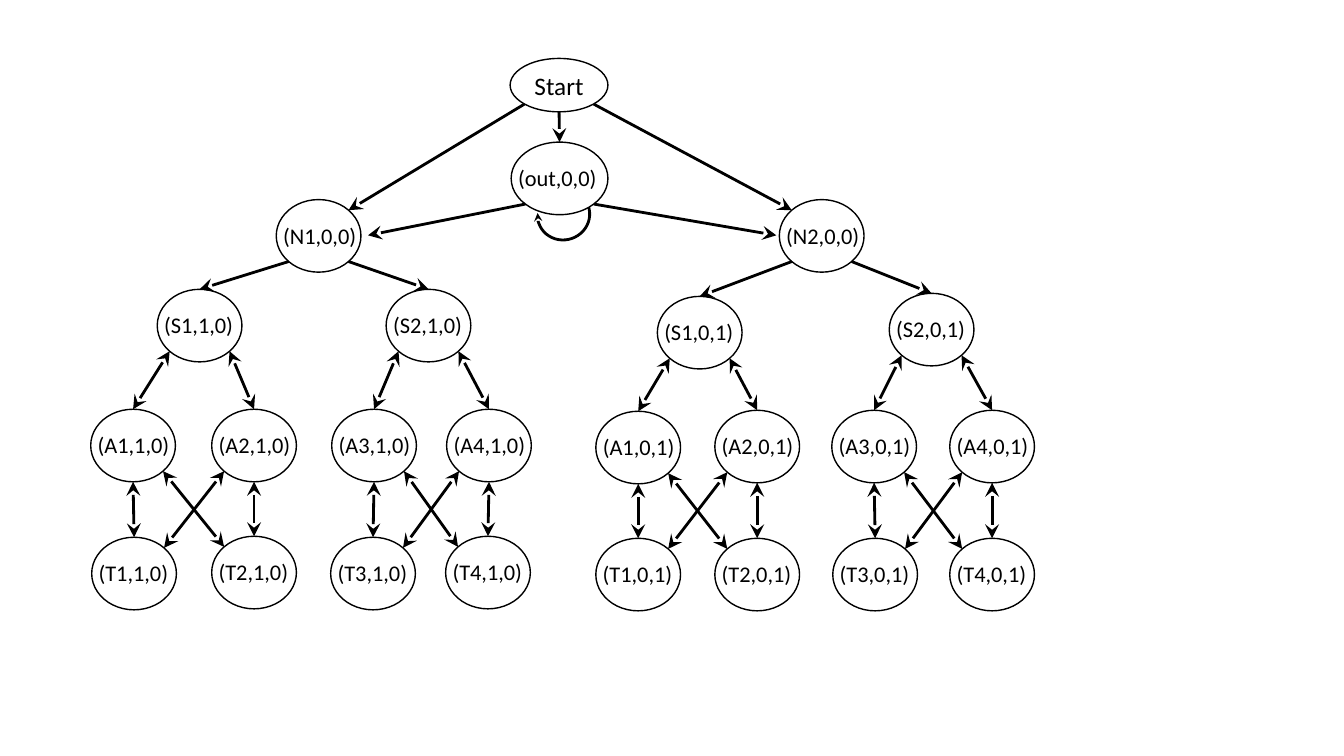
from dataclasses import dataclass
from math import sqrt

from lxml.etree import SubElement
from pptx import Presentation
from pptx.dml.color import RGBColor
from pptx.enum.shapes import MSO_CONNECTOR, MSO_SHAPE
from pptx.enum.text import MSO_ANCHOR, MSO_AUTO_SIZE, PP_ALIGN
from pptx.oxml.ns import qn
from pptx.util import Pt

PX = 9144  # EMU in one px, 100 px to the inch


@dataclass(frozen=True)
class Theme:
    ink: RGBColor = RGBColor(0, 0, 0)
    paper: RGBColor = RGBColor(255, 255, 255)
    font: str = "Calibri"
    start_size: int = 18
    label_size: int = 16
    outline: int = 1
    arrow: int = 2


THEME = Theme()

NODE_WIDTH, NODE_HEIGHT = 84, 72
LABEL_HEIGHT = 37
LABEL_WIDTHS = {"S": 90, "T": 90, "A": 92, "N": 94, "o": 99}

# Left and top of every state, by branch
BRANCHES = {
    "N1": (",1,0", {
        "N1": (274, 198), "S1": (156, 287), "S2": (383, 287),
        "A1": (90, 406), "A2": (210, 406), "A3": (329, 406), "A4": (443, 406),
        "T1": (91, 533), "T2": (210, 532), "T3": (328, 533), "T4": (442, 532),
    }),
    "N2": (",0,1", {
        "N2": (773, 198), "S1": (652, 294), "S2": (882, 291),
        "A1": (591, 408), "A2": (709, 407), "A3": (825, 407), "A4": (942, 407),
        "T1": (591, 534), "T2": (709, 534), "T3": (826, 534), "T4": (942, 534),
    }),
}

# Points on an ellipse, in half widths and half heights from its centre
DIAGONAL = 1 / sqrt(2)
SITES = {
    "top": (0, -1),
    "bottom": (0, 1),
    "top left": (-DIAGONAL, -DIAGONAL),
    "top right": (DIAGONAL, -DIAGONAL),
    "bottom left": (-DIAGONAL, DIAGONAL),
    "bottom right": (DIAGONAL, DIAGONAL),
}
RECTANGLE_LEFT, RECTANGLE_RIGHT = 1, 3


@dataclass
class Node:
    ellipse: object
    label: object = None

    def site(self, name):
        across, down = SITES[name]
        oval = self.ellipse
        return (round(oval.left + oval.width * (1 + across) / 2),
                round(oval.top + oval.height * (1 + down) / 2))


def set_font(para, size):
    para.font.name = THEME.font
    para.font.size = Pt(size)
    para.font.color.rgb = THEME.ink


def set_line(line, width):
    line.color.rgb = THEME.ink
    line.width = Pt(width)


def add_arrowheads(shape, ends, size):
    outline = shape._element.spPr.find(qn("a:ln"))
    for end in ends:
        SubElement(outline, qn(f"a:{end}"), type="stealth", w=size, len=size)


def add_ellipse(page, left, top, width, height):
    ellipse = page.shapes.add_shape(
        MSO_SHAPE.OVAL, left * PX, top * PX, width * PX, height * PX)
    ellipse.shadow.inherit = False
    ellipse.fill.solid()
    ellipse.fill.fore_color.rgb = THEME.paper
    set_line(ellipse.line, THEME.outline)
    return ellipse


def add_start(page):
    ellipse = add_ellipse(page, 506, 58, 97, 53)
    frame = ellipse.text_frame
    frame.margin_left = frame.margin_right = 0
    frame.vertical_anchor = MSO_ANCHOR.MIDDLE
    para = frame.paragraphs[0]
    para.text = "Start"
    para.alignment = PP_ALIGN.CENTER
    set_font(para, THEME.start_size)
    return Node(ellipse)


def add_state(page, text, left, top, width=NODE_WIDTH):
    """Draw an ellipse with its label laid over it."""
    ellipse = add_ellipse(page, left, top, width, NODE_HEIGHT)
    label = page.shapes.add_textbox(
        (left - 3) * PX, (top + 17) * PX,
        LABEL_WIDTHS[text[0]] * PX, LABEL_HEIGHT * PX)
    frame = label.text_frame
    frame.word_wrap = False
    frame.auto_size = MSO_AUTO_SIZE.SHAPE_TO_FIT_TEXT
    para = frame.paragraphs[0]
    para.text = f"({text})"
    set_font(para, THEME.label_size)
    return Node(ellipse, label)


def add_loop(page):
    """Draw the arrow that leads from the outer state back to itself."""
    loop = page.shapes.add_shape(
        MSO_SHAPE.ARC, 534 * PX, 187 * PX, 50 * PX, 52 * PX)
    loop.shadow.inherit = False
    loop.fill.background()
    for index, degrees in enumerate((206.16, 112.56)):
        loop.adjustments[index] = degrees * 0.6
    loop.rotation = 71
    set_line(loop.line, THEME.arrow)
    add_arrowheads(loop, ["tailEnd"], "med")


def add_arrow(page, begin, end, ends=("tailEnd",)):
    arrow = page.shapes.add_connector(MSO_CONNECTOR.STRAIGHT, *begin, *end)
    set_line(arrow.line, THEME.arrow)
    add_arrowheads(arrow, ends, "lg")
    SubElement(arrow._element.spPr, qn("a:effectLst"))
    return arrow


def link(page, source, source_site, target, target_site, both=False):
    ends = ("headEnd", "tailEnd") if both else ("tailEnd",)
    arrow = add_arrow(page, source.site(source_site), target.site(target_site), ends)
    if target_site == "top":
        arrow.end_connect(target.ellipse, 0)


def link_to_label(page, source, source_site, target, side):
    label = target.label
    edge = label.left + (label.width if side == RECTANGLE_RIGHT else 0)
    middle = label.top + label.height // 2
    arrow = add_arrow(page, source.site(source_site), (edge, middle))
    arrow.end_connect(label, side)


def add_branch(page, root, suffix, places):
    nodes = {name: add_state(page, name + (",0,0" if name == root else suffix), *place)
             for name, place in places.items()}
    link(page, nodes[root], "bottom left", nodes["S1"], "top")
    link(page, nodes[root], "bottom right", nodes["S2"], "top")
    for parent, first, second in (("S1", "1", "2"), ("S2", "3", "4")):
        for number, other, side, far_side in (
                (first, second, "left", "right"), (second, first, "right", "left")):
            upper = nodes["A" + number]
            link(page, nodes[parent], f"bottom {side}", upper, "top", both=True)
            link(page, upper, "bottom", nodes["T" + number], "top", both=True)
            link(page, upper, f"bottom {far_side}",
                 nodes["T" + other], f"top {side}", both=True)
    return nodes[root]


def main():
    deck = Presentation()
    deck.slide_width, deck.slide_height = 1333 * PX, 750 * PX
    page = deck.slides.add_slide(deck.slide_layouts[6])

    add_loop(page)
    start = add_start(page)
    outside = add_state(page, "out,0,0", 507, 141, width=96)
    left_root, right_root = (
        add_branch(page, root, *branch) for root, branch in BRANCHES.items())

    link(page, start, "bottom", outside, "top")
    link(page, start, "bottom left", left_root, "top right")
    link(page, start, "bottom right", right_root, "top left")
    link_to_label(page, outside, "bottom left", left_root, RECTANGLE_RIGHT)
    link_to_label(page, outside, "bottom right", right_root, RECTANGLE_LEFT)

    deck.save("out.pptx")


if __name__ == "__main__":
    main()
